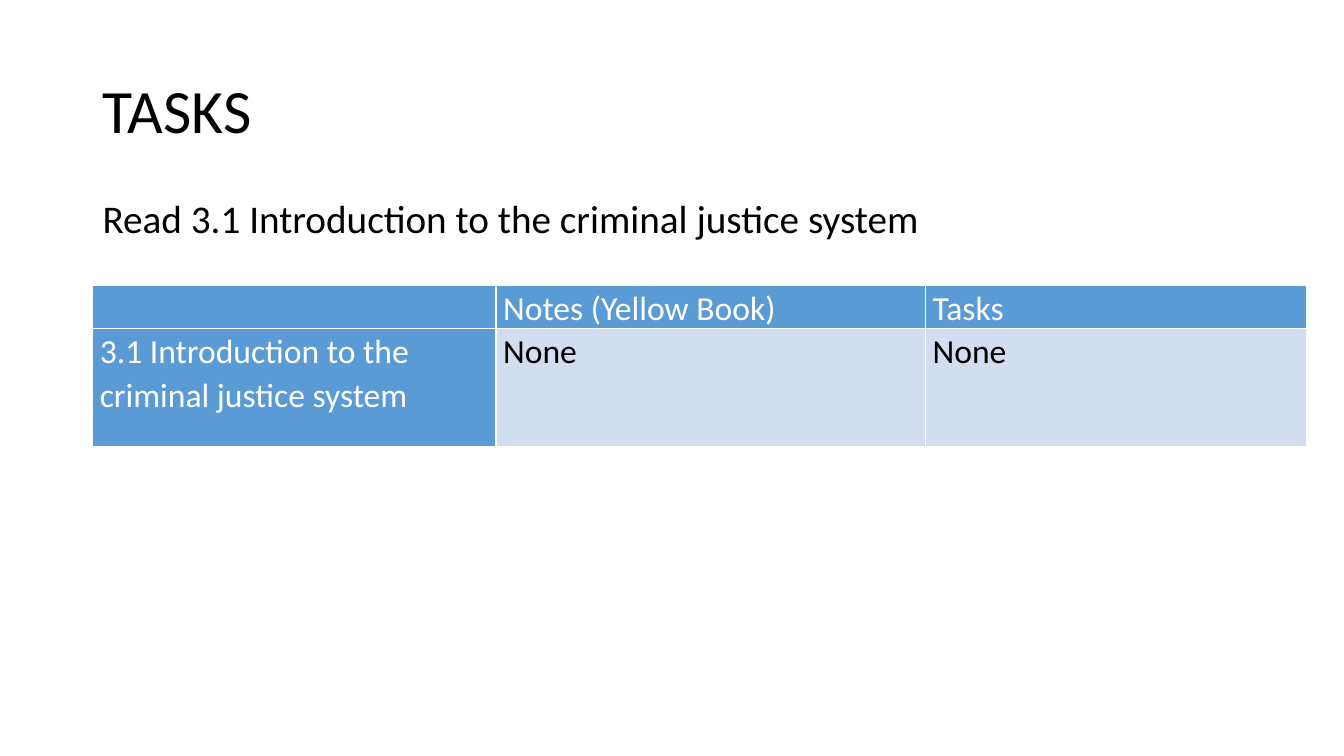
from lxml.etree import SubElement
from pptx import Presentation
from pptx.dml.color import RGBColor
from pptx.enum.text import MSO_ANCHOR as Anchor
from pptx.oxml.ns import qn
from pptx.util import Inches, Pt

BLACK = RGBColor(0x00, 0x00, 0x00)
WHITE = RGBColor(0xFF, 0xFF, 0xFF)
HEADER_BLUE = RGBColor(0x5B, 0x9B, 0xD5)
PALE_BLUE = RGBColor(0xD2, 0xDE, 0xEF)

TASK_ROWS = [
    ["", "Notes (Yellow Book)", "Tasks"],
    ["3.1 Introduction to the criminal justice system", "None", "None"],
]
COLUMN_WIDTHS = [4, 4.26, 3.78]
ROW_HEIGHTS = [0.4, 1.17]


def apply_format(target, values):
    """Set each named attribute on the target."""
    for name, value in values.items():
        setattr(target, name, value)


def write_text(frame, text, size, color, spacing, before=0):
    """Write one formatted paragraph into a text frame."""
    para = frame.paragraphs[0]
    apply_format(para, {"line_spacing": spacing, "space_before": Pt(before)})
    font_format = {"name": "Calibri", "size": Pt(size)}
    apply_format(para.font, font_format)
    if text:
        span = para.add_run()
        span.text = text
        apply_format(span.font, font_format)
        span.font.color.rgb = color


def add_text(page, box, text, size, spacing, before=0, anchor=Anchor.TOP):
    """Place a wrapped text block in the given box."""
    frame = page.shapes.add_textbox(*map(Inches, box)).text_frame
    apply_format(frame, {"word_wrap": True, "vertical_anchor": anchor})
    write_text(frame, text, size, BLACK, spacing, before)


def add_borders(cell):
    """Draw a thin white line on every side of a cell."""
    properties = cell._tc.get_or_add_tcPr()
    for side in ("lnL", "lnR", "lnT", "lnB"):
        line = SubElement(properties, qn(f"a:{side}"), w=str(Pt(1)))
        fill = SubElement(line, qn("a:solidFill"))
        SubElement(fill, qn("a:srgbClr"), val=str(WHITE))


def style_cell(cell, text, is_header):
    """Fill, border and write one table cell."""
    apply_format(cell, {
        "margin_left": Inches(0.07), "margin_right": Inches(0.07),
        "margin_top": 0, "margin_bottom": 0,
    })
    add_borders(cell)
    cell.fill.solid()
    cell.fill.fore_color.rgb = HEADER_BLUE if is_header else PALE_BLUE
    write_text(cell.text_frame, text, 24, WHITE if is_header else BLACK, 1.07)


def add_task_table(page, left, top):
    """Place the task table with its top left corner at the given point."""
    box = (left, top, sum(COLUMN_WIDTHS), sum(ROW_HEIGHTS))
    table = page.shapes.add_table(
        len(ROW_HEIGHTS), len(COLUMN_WIDTHS), *map(Inches, box)).table
    for column, width in zip(table.columns, COLUMN_WIDTHS):
        column.width = Inches(width)
    for row, height in zip(table.rows, ROW_HEIGHTS):
        row.height = Inches(height)
    for row_index, texts in enumerate(TASK_ROWS):
        for column_index, text in enumerate(texts):
            is_header = row_index == 0 or column_index == 0
            style_cell(table.cell(row_index, column_index), text, is_header)


def build_tasks_page(page, left, top):
    """Place the title, reading instruction and table from the given corner."""
    add_text(page, (left, top, 11.5, 1.45), "TASKS", 44, 0.9,
             anchor=Anchor.MIDDLE)
    add_text(page, (left, top + 1.45, 11.71, 4.76),
             "Read 3.1 Introduction to the criminal justice system",
             28, 1.07, before=10)
    add_task_table(page, left, top + 2.43)


def main():
    """Build and save the deck."""
    deck = Presentation()
    apply_format(deck, {"slide_width": Inches(13.33),
                        "slide_height": Inches(7.5)})
    page = deck.slides.add_slide(deck.slide_layouts[6])
    build_tasks_page(page, 0.92, 0.4)
    deck.save("out.pptx")


if __name__ == "__main__":
    main()
